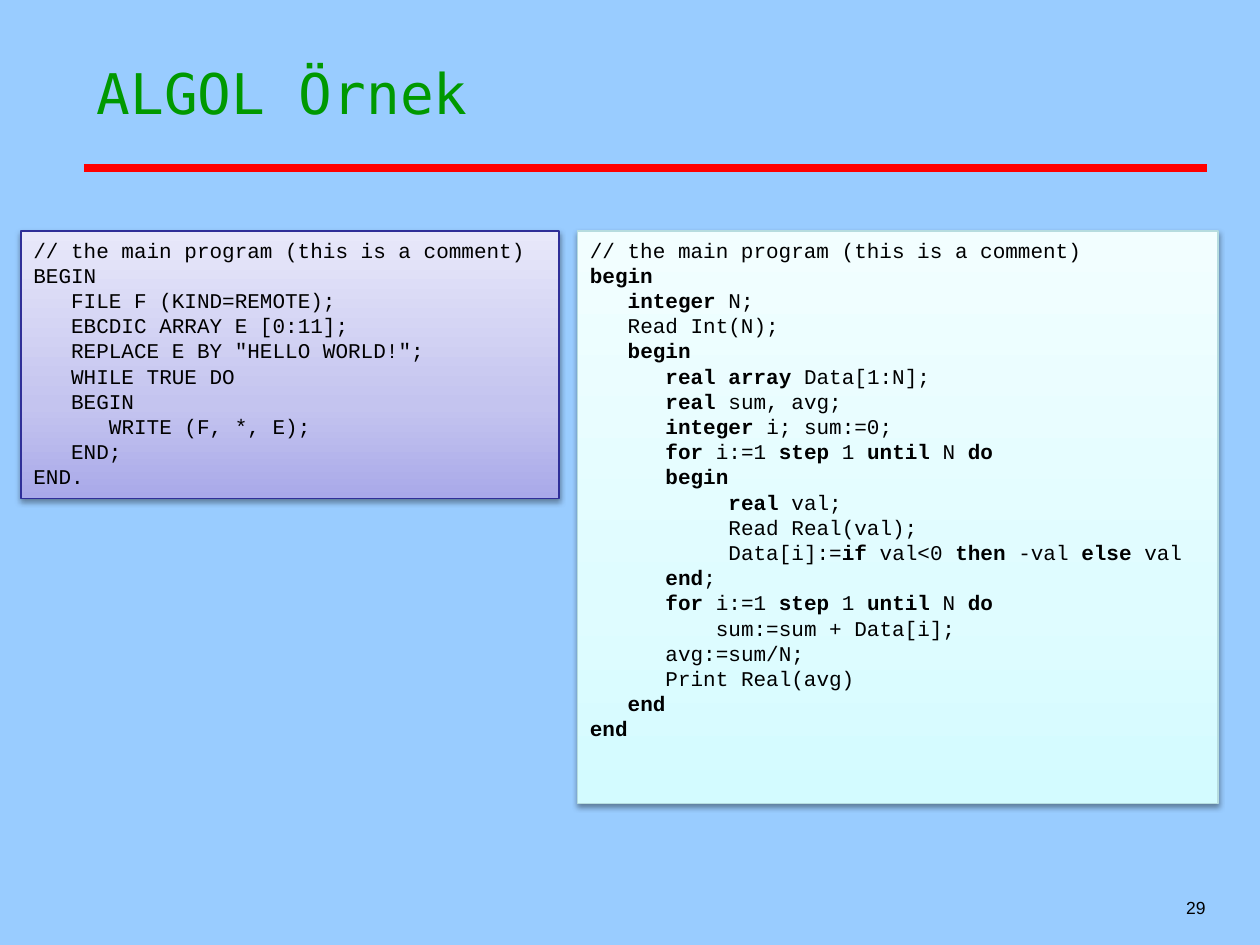
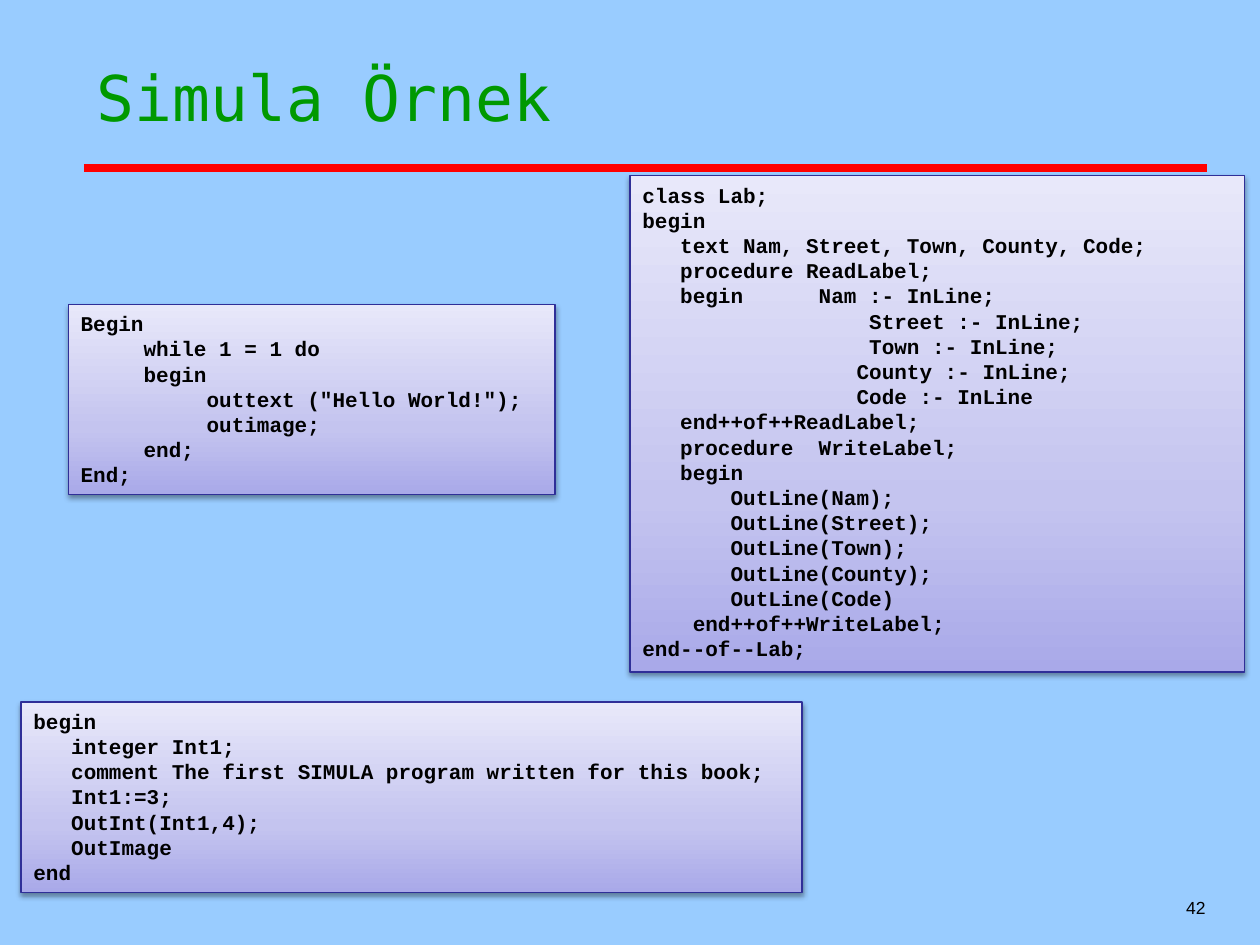
import copy

import lxml.etree
import pptx
import pptx.dml.color
import pptx.enum.shapes
import pptx.enum.text
import pptx.oxml
import pptx.oxml.ns
import pptx.util

RGB = pptx.dml.color.RGBColor
ALIGN = pptx.enum.text.PP_ALIGN
ANCHOR = pptx.enum.text.MSO_ANCHOR
STRAIGHT = pptx.enum.shapes.MSO_CONNECTOR.STRAIGHT
RECTANGLE = pptx.enum.shapes.MSO_SHAPE.RECTANGLE
qn = pptx.oxml.ns.qn

PX = 9525  # EMU in one px, 96 px to the inch
CODE_SIZE = 12
CODE_COLUMN = pptx.util.Pt(CODE_SIZE * 0.6)  # width of one Courier New letter

SKY = RGB(0x99, 0xCC, 0xFF)
GREEN = RGB(0x00, 0x99, 0x00)
RED = RGB(0xFF, 0x00, 0x00)
BLACK = RGB(0x00, 0x00, 0x00)
VIOLET_LINE = RGB(0x2F, 0x2F, 0x98)
VIOLET_STOPS = (RGB(0xA9, 0xA9, 0xE9), RGB(0xC4, 0xC4, 0xEF), RGB(0xE8, 0xE8, 0xFA))
AQUA_LINE = RGB(0xB6, 0xDC, 0xDF)
AQUA_STOPS = (RGB(0xD3, 0xFB, 0xFF), RGB(0xDF, 0xFC, 0xFF), RGB(0xF2, 0xFE, 0xFF))
VIOLET = (VIOLET_LINE, VIOLET_STOPS)
AQUA = (AQUA_LINE, AQUA_STOPS)

# Words between double asterisks are bold.
ALGOL_HELLO = """
// the main program (this is a comment)
BEGIN
   FILE F (KIND=REMOTE);
   EBCDIC ARRAY E [0:11];
   REPLACE E BY "HELLO WORLD!";
   WHILE TRUE DO
   BEGIN
      WRITE (F, *, E);
   END;
END.
"""

ALGOL_AVERAGE = """
// the main program (this is a comment)
**begin**
   **integer** N;
   Read Int(N);
   **begin**
      **real array** Data[1:N];
      **real** sum, avg;
      **integer** i; sum:=0;
      **for** i:=1 **step** 1 **until** N **do**
      **begin**
           **real** val;
           Read Real(val);
           Data[i]:=**if** val<0 **then** -val **else** val
      **end**;
      **for** i:=1 **step** 1 **until** N **do**
          sum:=sum + Data[i];
      avg:=sum/N;
      Print Real(avg)
   **end**
**end**
"""

SIMULA_HELLO = """
Begin
     while 1 = 1 do
     begin
          outtext ("Hello World!");
          outimage;
     end;
End;
"""

SIMULA_INTEGER = """
begin
   integer Int1;
   comment The first SIMULA program written for this book;
   Int1:=3;
   OutInt(Int1,4);
   OutImage
end
"""

SIMULA_LABELS = """
class Lab;
begin
   text Nam, Street, Town, County, Code;
   procedure ReadLabel;
   begin      Nam :- InLine;
                  Street :- InLine;
                  Town :- InLine;
                 County :- InLine;
                 Code :- InLine
   end++of++ReadLabel;
   procedure  WriteLabel;
   begin
       OutLine(Nam);
       OutLine(Street);
       OutLine(Town);
       OutLine(County);
       OutLine(Code)
    end++of++WriteLabel;
end--of--Lab;
"""

# title, title size, page number, code boxes: (left, top, width, height), colours, all bold, code
PAGES = [
    ("ALGOL Örnek", 32, "29", [
        ((16, 176, 410, 204), VIOLET, False, ALGOL_HELLO),
        ((440, 176, 488, 436), AQUA, False, ALGOL_AVERAGE),
    ]),
    ("Simula Örnek", 36, "42", [
        ((52, 232, 371, 145), VIOLET, True, SIMULA_HELLO),
        ((16, 535, 595, 145), VIOLET, True, SIMULA_INTEGER),
        ((480, 134, 468, 378), VIOLET, True, SIMULA_LABELS),
    ]),
]

# x from, x to, y, colour, points
RULES = [(64, 64, 160, BLACK, 0.75), (64, 920, 128, RED, 4.5)]


def style(para, font_name, size, colour, align=ALIGN.LEFT):
    para.alignment = align
    para.font.name = font_name
    para.font.size = pptx.util.Pt(size)
    para.font.color.rgb = colour


def add_code_box(page, place, colours, all_bold, code):
    """Draw a shaded box; leading spaces of each code line become its indent."""
    line_colour, stop_colours = colours
    box = page.shapes.add_shape(RECTANGLE, *[length * PX for length in place])
    box.line.color.rgb = line_colour
    box.line.width = pptx.util.Pt(0.75)

    box.fill.gradient()
    box.fill.gradient_angle = 90
    stop_list = box._element.spPr.find(".//" + qn("a:gsLst"))
    stop_list.append(copy.deepcopy(stop_list[-1]))
    for stop, position, colour in zip(box.fill.gradient_stops, (0, 0.35, 1), stop_colours):
        stop.position = position
        stop.color.rgb = colour

    box.shadow.inherit = False
    effects = box._element.spPr.find(qn("a:effectLst"))
    shadow = lxml.etree.SubElement(effects, qn("a:outerShdw"), blurRad="40000",
                                   dist="20000", dir="5400000", rotWithShape="0")
    shade = lxml.etree.SubElement(shadow, qn("a:srgbClr"), val=str(BLACK))
    lxml.etree.SubElement(shade, qn("a:alpha"), val="38000")

    frame = box.text_frame
    frame.word_wrap = True
    frame.vertical_anchor = ANCHOR.TOP
    for number, line in enumerate(code.strip().splitlines()):
        para = frame.add_paragraph() if number else frame.paragraphs[0]
        style(para, "Courier New", CODE_SIZE, BLACK)
        para.font.bold = all_bold
        words = line.lstrip()
        indent = (len(line) - len(words)) * CODE_COLUMN
        para._p.get_or_add_pPr().set("marL", str(indent))
        for part, text in enumerate(words.split("**")):
            if text:
                span = para.add_run()
                span.text = text
                if part % 2:
                    span.font.bold = True


deck = pptx.Presentation()
deck.slide_width = 960 * PX
deck.slide_height = 720 * PX
background = deck.slide_master.background.fill
background.solid()
background.fore_color.rgb = SKY

for title_text, title_size, page_number, code_boxes in PAGES:
    page = deck.slides.add_slide(deck.slide_layouts[5])

    for x_from, x_to, y, colour, points in RULES:
        rule = page.shapes.add_connector(STRAIGHT, x_from * PX, y * PX, x_to * PX, y * PX)
        rule.line.color.rgb = colour
        rule.line.width = pptx.util.Pt(points)
        lxml.etree.SubElement(rule._element.spPr, qn("a:effectLst"))

    title = page.shapes.title
    title.left, title.top, title.width, title.height = 64 * PX, 40 * PX, 856 * PX, 120 * PX
    title.text_frame.text = title_text
    title.text_frame.auto_size = pptx.enum.text.MSO_AUTO_SIZE.NONE
    title.text_frame.vertical_anchor = ANCHOR.TOP
    style(title.text_frame.paragraphs[0], "DejaVu Sans Mono", title_size, GREEN)

    for place, colours, all_bold, code in code_boxes:
        add_code_box(page, place, colours, all_bold, code)

    footer = page.shapes.add_textbox(728 * PX, 656 * PX, 200 * PX, 48 * PX).text_frame
    footer.word_wrap = True
    footer.vertical_anchor = ANCHOR.BOTTOM
    footer.text = page_number
    style(footer.paragraphs[0], "Arial", 10, BLACK, ALIGN.RIGHT)

deck.save("out.pptx")
